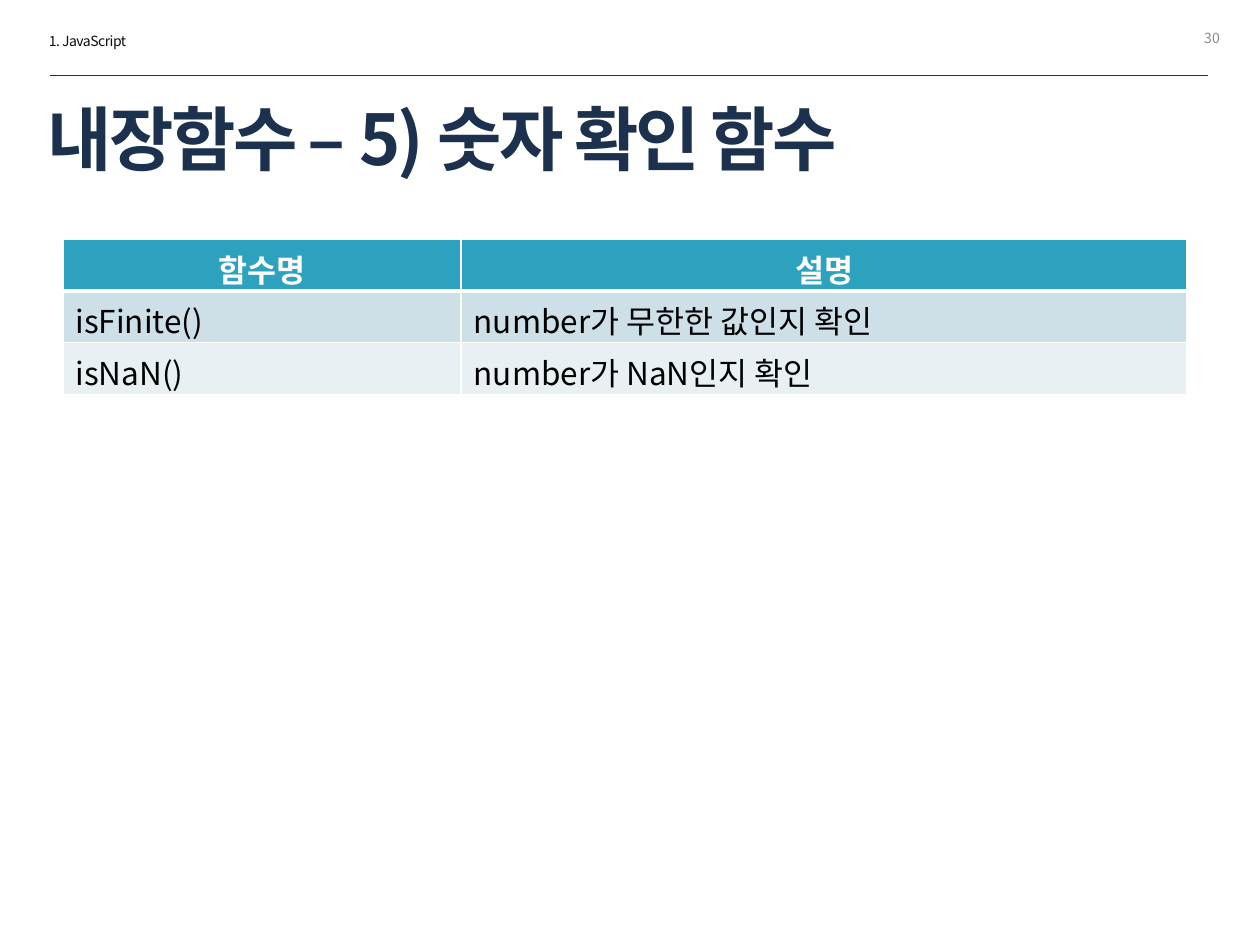
import pptx
import pptx.util
import pptx.dml.color
import pptx.enum.text
import pptx.oxml
import pptx.oxml.ns
from lxml import etree

Inches, Pt = pptx.util.Inches, pptx.util.Pt
ALIGN, ANCHOR = pptx.enum.text.PP_ALIGN, pptx.enum.text.MSO_ANCHOR
qn = pptx.oxml.ns.qn

FONT = "Noto Sans CJK KR"
COLORS = {"navy": "1C314E", "ink": "0D0D0D", "gray": "8C8C8C", "black": "000000",
          "white": "FFFFFF", "header": "2DA2BF", "odd": "CDE0E8", "even": "E8F0F4"}

CHAPTER = "1. JavaScript"
TITLE = "내장함수 – 5) 숫자 확인 함수"
PAGE = "30"
ROWS = [("함수명", "설명"),
        ("isFinite()", "number가 무한한 값인지 확인"),
        ("isNaN()", "number가 NaN인지 확인")]
COL_WIDTHS = (3.16, 5.76)
ROW_HEIGHT = 0.41


def rgb(name):
    return pptx.dml.color.RGBColor.from_string(COLORS[name])


def write(tf, text, size, color, bold=False, align=ALIGN.LEFT, spacing=0):
    tf.text = text
    p = tf.paragraphs[0]
    p.alignment = align
    font = p.runs[0].font
    font.name, font.size, font.bold = FONT, Pt(size), bold
    font.color.rgb = rgb(color)
    rPr = p.runs[0]._r.get_or_add_rPr()
    rPr.set("spc", str(round(spacing * 100)))
    ea = etree.Element(qn("a:ea"), typeface=FONT)
    rPr.find(qn("a:latin")).addnext(ea)


def add_label(slide, box, anchor, *args, **kwargs):
    tf = slide.shapes.add_textbox(*map(Inches, box)).text_frame
    tf.word_wrap = True
    tf.vertical_anchor = anchor
    write(tf, *args, **kwargs)


def set_borders(cell, bottom):
    tcPr = cell._tc.get_or_add_tcPr()
    widths = {"lnL": 1, "lnR": 1, "lnT": 1, "lnB": bottom}
    for i, (tag, width) in enumerate(widths.items()):
        ln = etree.Element(qn("a:" + tag), w=str(Pt(width)))
        fill = etree.SubElement(ln, qn("a:solidFill"))
        etree.SubElement(fill, qn("a:srgbClr"), val=COLORS["white"])
        tcPr.insert(i, ln)


def add_function_table(slide, left, top):
    size = (sum(COL_WIDTHS), ROW_HEIGHT * len(ROWS))
    table = slide.shapes.add_table(len(ROWS), len(COL_WIDTHS),
                                   *map(Inches, (left, top, *size))).table
    for column, width in zip(table.columns, COL_WIDTHS):
        column.width = Inches(width)
    for r, row in enumerate(ROWS):
        head = r == 0
        fill = "header" if head else "odd" if r % 2 else "even"
        for c, text in enumerate(row):
            cell = table.cell(r, c)
            cell.fill.solid()
            cell.fill.fore_color.rgb = rgb(fill)
            if not head and c == 0:
                cell.vertical_anchor = ANCHOR.MIDDLE
            write(cell.text_frame, text, 18, "white" if head else "black", bold=head,
                  align=ALIGN.CENTER if head else ALIGN.LEFT)
            # The rule under the header also tops the first body row
            set_borders(cell, bottom=3 if head else 1)
            if r == 1:
                cell._tc.tcPr.find(qn("a:lnT")).set("w", str(Pt(3)))


def main():
    prs = pptx.Presentation()
    prs.slide_width, prs.slide_height = Inches(10), Inches(7.5)
    slide = prs.slides.add_slide(prs.slide_layouts[5])

    add_label(slide, (0.29, 0.21, 1.73, 0.24), ANCHOR.TOP, CHAPTER, 8, "ink", spacing=-0.3)
    add_label(slide, (7.45, 0.1, 2.33, 0.4), ANCHOR.MIDDLE, PAGE, 8, "gray", align=ALIGN.RIGHT)

    rule = slide.shapes.add_connector(pptx.enum.shapes.MSO_CONNECTOR.STRAIGHT,
                                      *map(Inches, (0.4, 0.6, 9.59, 0.6)))
    rule.line.color.rgb = rgb("navy")
    rule.line.width = Pt(0.25)
    etree.SubElement(rule._element.spPr, qn("a:effectLst"))

    title = slide.shapes.title
    title.left, title.top, title.width, title.height = map(Inches, (0.28, 0.77, 9.41, 0.64))
    title.text_frame.auto_size = pptx.enum.text.MSO_AUTO_SIZE.NONE
    title.text_frame.vertical_anchor = ANCHOR.MIDDLE
    write(title.text_frame, TITLE, 40, "navy", bold=True, spacing=-1.5)

    add_function_table(slide, 0.5, 1.9)
    prs.save("out.pptx")


if __name__ == "__main__":
    main()
